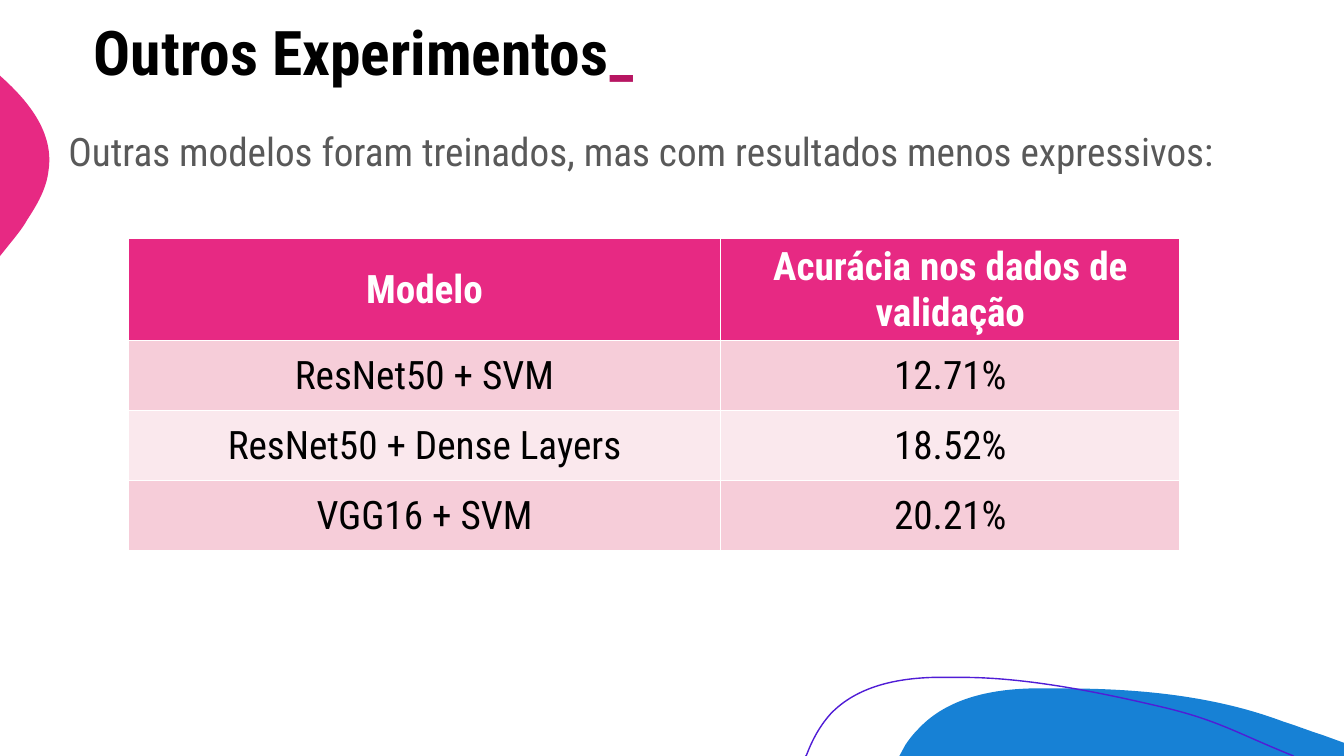
import pptx
import pptx.util
import pptx.dml.color
import pptx.enum.text
import pptx.oxml.ns
import lxml.etree
from pptx.util import Inches

COLORS = {"pink": "E72983", "blue": "1781D5", "violet": "501DD6", "accent": "B71562",
          "black": "000000", "gray": "595959", "white": "FFFFFF",
          "rose": "F6CDD9", "blush": "FAE8ED"}
BLUE_WAVE = [(10.54, 6.83),
             (11.28, 6.83, 12.04, 6.9, 12.73, 7.16), (12.86, 7.2, 12.98, 7.25, 13.11, 7.29),
             (13.33, 7.37), (13.33, 7.5), (8.92, 7.5), (8.98, 7.39),
             (9.02, 7.33, 9.06, 7.28, 9.11, 7.23), (9.39, 6.93, 9.82, 6.84, 10.23, 6.83),
             (10.33, 6.83, 10.43, 6.83, 10.54, 6.83)]
PINK_BULGE = [(0, 0.75), (0.01, 0.76),
              (0.3, 1.02, 0.54, 1.33, 0.48, 1.7), (0.46, 1.87, 0.37, 2.03, 0.27, 2.18),
              (0.24, 2.24, 0.17, 2.33, 0.08, 2.44), (0, 2.54)]
VIOLET_CURVE = [(7.99, 7.5), (8, 7.49),
                (8.06, 7.33, 8.14, 7.19, 8.24, 7.08), (8.5, 6.81, 8.89, 6.73, 9.26, 6.72),
                (9.55, 6.72),
                (10.22, 6.72, 11, 6.89, 11.55, 7.02), (12.09, 7.15, 12.26, 7.27, 12.83, 7.5)]
RESULTS = [("Modelo", "Acurácia nos dados de validação"),
           ("ResNet50 + SVM", "12.71%"),
           ("ResNet50 + Dense Layers", "18.52%"),
           ("VGG16 + SVM", "20.21%")]


def rgb(name):
    """Return the named colour."""
    return pptx.dml.color.RGBColor.from_string(COLORS[name])


class Page:
    """Hold the style and the current slide."""

    font_name = "Roboto Condensed"
    align = pptx.enum.text.PP_ALIGN
    middle = pptx.enum.text.MSO_ANCHOR.MIDDLE

    def __init__(self, deck):
        """Add a title-only slide to the deck."""
        self.slide = deck.slides.add_slide(deck.slide_layouts[5])

    def style(self, font, size, color, bold=False):
        """Format a font."""
        font.name, font.size, font.bold = self.font_name, pptx.util.Pt(size), bold
        font.color.rgb = rgb(color)

    def bend(self, shape, steps):
        """Turn the segments that have control points into cubic curves."""
        qn = pptx.oxml.ns.qn
        segments = list(shape._element.iter(qn("a:lnTo")))
        for segment, step in zip(segments, steps[1:]):
            if len(step) == 2:
                continue
            curve = lxml.etree.Element(qn("a:cubicBezTo"))
            for x, y in zip(step[::2], step[1::2]):
                lxml.etree.SubElement(curve, qn("a:pt"), x=str(Inches(x) - shape.left),
                                      y=str(Inches(y) - shape.top))
            segment.getparent().replace(segment, curve)

    def outline(self, steps, fill=None, line=None):
        """Draw a filled outline or an open curve."""
        points = [(Inches(step[-2]), Inches(step[-1])) for step in steps]
        builder = self.slide.shapes.build_freeform(*points[0])
        builder.add_line_segments(points[1:], close=fill is not None)
        shape = builder.convert_to_shape()
        self.bend(shape, steps)
        shape.shadow.inherit = False
        if fill:
            shape.fill.solid()
            shape.fill.fore_color.rgb = rgb(fill)
        else:
            shape.fill.background()
        if line:
            shape.line.color.rgb = rgb(line)
            shape.line.width = pptx.util.Pt(1)
        else:
            shape.line.fill.background()

    def title(self, text, mark):
        """Fill the title and end it with a coloured mark."""
        box = self.slide.shapes.title
        box.left, box.top, box.width, box.height = map(Inches, (0.83, 0, 11.67, 1.1))
        frame = box.text_frame
        frame.auto_size = pptx.enum.text.MSO_AUTO_SIZE.NONE
        frame.vertical_anchor = self.middle
        para = frame.paragraphs[0]
        para.alignment, para.line_spacing = self.align.LEFT, 0.9
        for words, color in ((text, "black"), (mark, "accent")):
            span = para.add_run()
            span.text = words
            self.style(span.font, 44, color, True)

    def text(self, text, left, top, width, height):
        """Add a justified text box."""
        frame = self.slide.shapes.add_textbox(*map(Inches, (left, top, width, height))).text_frame
        frame.word_wrap = True
        para = frame.paragraphs[0]
        para.text = text
        para.alignment, para.line_spacing = self.align.JUSTIFY, 1.25
        self.style(para.font, 28, "gray")

    def table(self, rows, left, top, widths, height):
        """Add a banded table with a header row."""
        table = self.slide.shapes.add_table(
            len(rows), len(widths), *map(Inches, (left, top, sum(widths), height))).table
        for column, width in zip(table.columns, widths):
            column.width = Inches(width)
        for row, texts in enumerate(rows):
            header = row == 0
            fill = "pink" if header else ("blush", "rose")[row % 2]
            for column, text in enumerate(texts):
                cell = table.cell(row, column)
                cell.fill.solid()
                cell.fill.fore_color.rgb = rgb(fill)
                cell.vertical_anchor = self.middle
                para = cell.text_frame.paragraphs[0]
                para.text = text
                para.alignment = self.align.CENTER
                self.style(para.font, 28, "white" if header else "black", header)


def main():
    """Build and save the deck."""
    deck = pptx.Presentation()
    deck.slide_width, deck.slide_height = Inches(13.33), Inches(7.5)
    page = Page(deck)
    page.outline(BLUE_WAVE, fill="blue")
    page.outline(PINK_BULGE, fill="pink")
    page.outline(VIOLET_CURVE, line="violet")
    page.title("Outros Experimentos", "_")
    page.table(RESULTS, 1.27, 2.37, (5.88, 4.55), 2.78)
    page.text("Outras modelos foram treinados, mas com resultados menos expressivos:",
              0.58, 1.1, 12.59, 0.72)
    deck.save("out.pptx")


if __name__ == "__main__":
    main()
